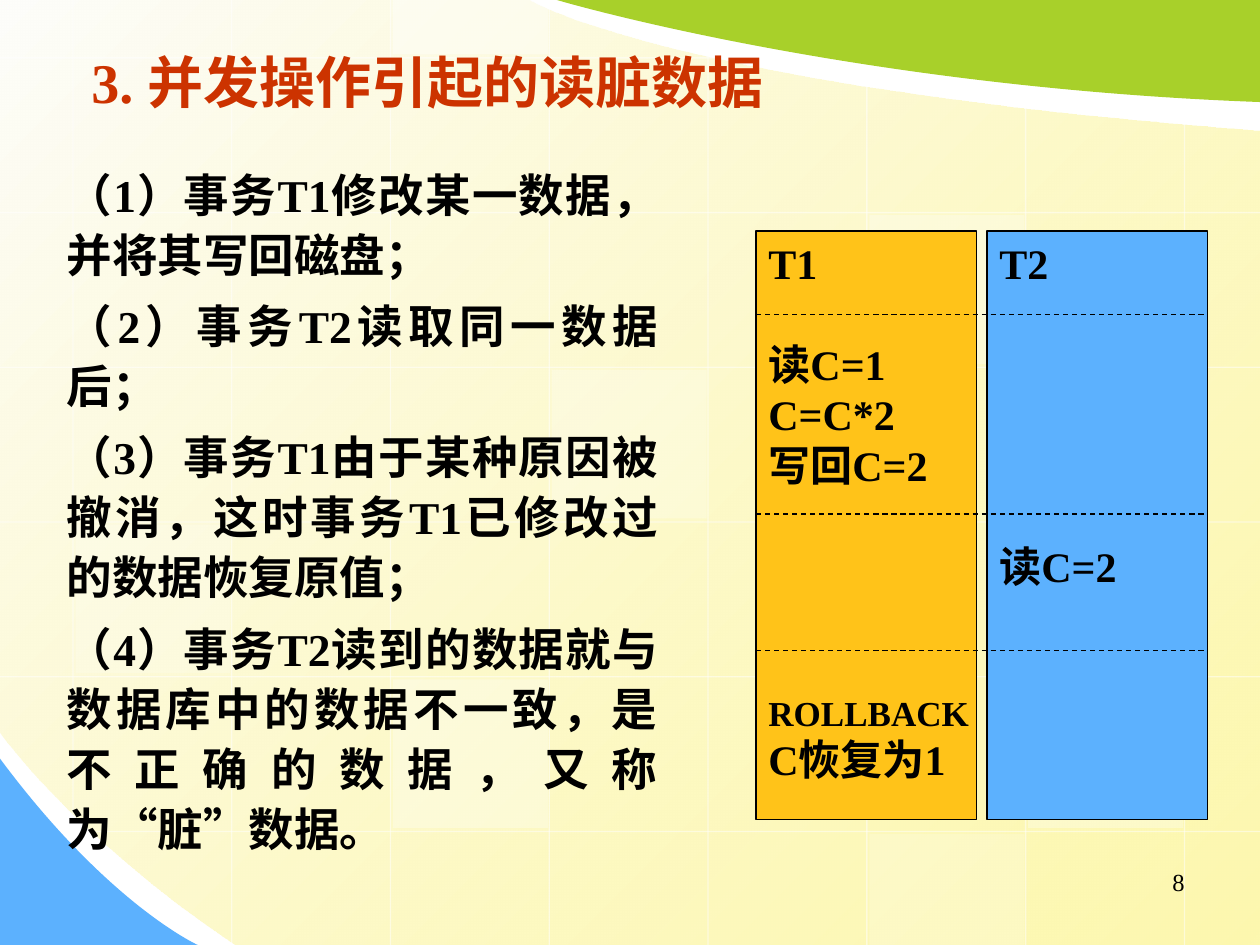
from dataclasses import dataclass
from typing import NamedTuple

from pptx import Presentation
from pptx.dml.color import RGBColor
from pptx.enum.dml import MSO_LINE
from pptx.enum.shapes import MSO_CONNECTOR, MSO_SHAPE
from pptx.enum.text import MSO_ANCHOR, PP_ALIGN
from pptx.oxml.ns import qn
from pptx.util import Inches, Pt

SLIDE_WIDTH, SLIDE_HEIGHT = Inches(10), Inches(7.5)


@dataclass(frozen=True)
class Theme:
    """Colours, type sizes and the font of the slide."""
    font: str = "Times New Roman"
    black: str = "000000"
    white: str = "FFFFFF"
    title: str = "CC3300"
    blue: str = "5CB1FE"
    green: str = "A8D02A"
    orange: str = "FFC319"
    page: tuple = ("FDF58D", "FDFDFA")
    title_size: float = 32
    body_size: float = 26
    panel_size: float = 24
    keyword_size: float = 20
    number_size: float = 14
    blank_line: float = 28.9


class Box(NamedTuple):
    """A rectangle in percent of the slide's width and height."""
    left: float
    top: float
    width: float
    height: float


class Entry(NamedTuple):
    """A line of a transaction with the empty lines above it."""
    text: str
    lines_above: int = 0
    size: float = Theme.panel_size


class Panel(NamedTuple):
    """A transaction column."""
    box: Box
    colour: str
    entries: list


class Tile(NamedTuple):
    """A lit cell of the background lattice."""
    column: int
    row: int
    opacity: int


THEME = Theme()
COLUMN_START, COLUMN_PITCH = 5.8, 12.6
ROW_START, ROW_PITCH = 6.13, 16.37
COLUMN_LINES = [(0, 86.13), (0, 100), (0, 100), (0, 100), (5.73, 100), (9.07, 100), (11.33, 100), (13.07, 100)]
ROW_LINES = [(0, 56.8), (0, 100), (0, 100), (0, 100), (0, 100), (7.6, 100)]
TILES = [Tile(3, 2, 25), Tile(6, 4, 30), Tile(0, 3, 20), Tile(5, 5, 20), Tile(2, -1, 40), Tile(2, 4, 30), Tile(5, 1, 30)]

PAGE_OUTLINE = [(100, 13.87), (100, 100), (18.7, 100), (5.4, 88, 0, 77.33, 0, 77.47),
                (0, 0), (42, 0), (42, 0.13, 53.6, 9.2, 100, 13.87)]
CORNER_OUTLINE = [(0, 80.27), (0, 100), (15.7, 100), (15.7, 100, 8.6, 95.73, 0, 80.27)]
CREST_OUTLINE = [(100, 10.8), (100, 0), (44.2, 0), (44.2, 0, 67.4, 9.2, 100, 10.8)]

TITLE_BOX = Box(6.25, 4.67, 74, 7.73)
BODY_BOX = Box(4.3, 16.4, 48.9, 76.67)
NUMBER_BOX = Box(71.7, 91.07, 23.3, 6.93)
STEPS = [
    "（1）事务T1修改某一数据，并将其写回磁盘；",
    "（2）事务T2读取同一数据后；",
    "（3）事务T1由于某种原因被撤消，这时事务T1已修改过的数据恢复原值；",
    "（4）事务T2读到的数据就与数据库中的数据不一致，是不正确的数据，又称为“脏”数据。",
]
PANELS = [
    Panel(Box(60, 24.45, 17.5, 62.27), THEME.orange, [
        Entry("T1"), Entry("读C=1", 1), Entry("C=C*2"), Entry("写回C=2"),
        Entry("ROLLBACK", 4, THEME.keyword_size), Entry("C恢复为1")]),
    Panel(Box(78.33, 24.45, 17.5, 62.27), THEME.blue, [Entry("T2"), Entry("读C=2", 5)]),
]
DIVIDERS = [33.3, 54.4, 68.87]


def across(share: float) -> int:
    """Turn a percentage of the slide's width into a length."""
    return round(SLIDE_WIDTH * share / 100)


def down(share: float) -> int:
    """Turn a percentage of the slide's height into a length."""
    return round(SLIDE_HEIGHT * share / 100)


def place(box: Box) -> tuple:
    """Turn a box into left, top, width and height."""
    return across(box.left), down(box.top), across(box.width), down(box.height)


def fade(shape, opacity: int) -> None:
    """Make the first colour of a shape partly transparent."""
    colour = next(shape.element.iter(qn("a:srgbClr")))
    colour.append(colour.makeelement(qn("a:alpha"), {"val": str(opacity * 1000)}))


def paint(shape, colour: str) -> None:
    """Give a shape a plain fill without shadow or line."""
    shape.shadow.inherit = False
    shape.fill.solid()
    shape.fill.fore_color.rgb = RGBColor.from_string(colour)
    shape.line.fill.background()


def add_outline(slide, outline: list, colour: str):
    """Draw a closed outline of points and cubic curves."""
    corners = [(across(x), down(y)) for piece in outline for x, y in zip(piece[::2], piece[1::2])]
    builder = slide.shapes.build_freeform(*corners[0])
    builder.add_line_segments(corners[1:], close=False)
    builder.add_line_segments([], close=True)
    shape = builder.convert_to_shape()
    segments = iter(list(shape.element.iter(qn("a:lnTo"))))
    for piece in outline[1:]:
        segment = next(segments)
        if len(piece) == 6:
            curve = segment.makeelement(qn("a:cubicBezTo"), {})
            segment.addprevious(curve)
            for part in (segment, next(segments), next(segments)):
                curve.append(part[0])
                part.getparent().remove(part)
    paint(shape, colour)
    return shape


def add_line(slide, start: tuple, end: tuple, colour: str):
    """Draw a thin straight line between two points."""
    line = slide.shapes.add_connector(
        MSO_CONNECTOR.STRAIGHT, across(start[0]), down(start[1]), across(end[0]), down(end[1]))
    line.line.width = Pt(0.75)
    line.line.color.rgb = RGBColor.from_string(colour)
    properties = line.element.spPr
    properties.append(properties.makeelement(qn("a:effectLst"), {}))
    return line


def style(paragraph, size: float, colour: str = THEME.black, bold: bool = True, alignment=PP_ALIGN.LEFT) -> None:
    """Set the font and alignment of a paragraph."""
    paragraph.alignment = alignment
    paragraph.font.name = THEME.font
    paragraph.font.size = Pt(size)
    paragraph.font.bold = bold
    paragraph.font.color.rgb = RGBColor.from_string(colour)


def add_background(slide) -> None:
    """Draw the page, its lattice and the coloured corners."""
    page = add_outline(slide, PAGE_OUTLINE, THEME.white)
    page.fill.gradient()
    page.fill.gradient_angle = 135
    for stop, colour in zip(page.fill.gradient_stops, THEME.page):
        stop.color.rgb = RGBColor.from_string(colour)
    fade(page, 70)
    add_outline(slide, CORNER_OUTLINE, THEME.blue)
    for index, (top, bottom) in enumerate(COLUMN_LINES):
        x = COLUMN_START + index * COLUMN_PITCH
        fade(add_line(slide, (x, top), (x, bottom), THEME.white), 50)
    for index, (left, right) in enumerate(ROW_LINES):
        y = ROW_START + index * ROW_PITCH
        fade(add_line(slide, (left, y), (right, y), THEME.white), 50)
    for tile in TILES:
        top = ROW_START + 0.27 + tile.row * ROW_PITCH
        bottom = min(top + 15.73, 100)
        top = max(top, 0)
        box = Box(COLUMN_START + 0.2 + tile.column * COLUMN_PITCH, top, 12.3, bottom - top)
        shape = slide.shapes.add_shape(MSO_SHAPE.RECTANGLE, *place(box))
        paint(shape, THEME.white)
        fade(shape, tile.opacity)
    add_outline(slide, CREST_OUTLINE, THEME.green)


def add_title(slide) -> None:
    """Fill the title placeholder and bring it in front of the page."""
    title = slide.shapes.title
    title.left, title.top, title.width, title.height = place(TITLE_BOX)
    title.text_frame.text = "3. 并发操作引起的读脏数据"
    title.text_frame.vertical_anchor = MSO_ANCHOR.MIDDLE
    style(title.text_frame.paragraphs[0], THEME.title_size, THEME.title)
    title.element.getparent().append(title.element)


def add_text(slide, box: Box, lines: list):
    """Add a wrapping text box with one paragraph per line."""
    frame = slide.shapes.add_textbox(*place(box)).text_frame
    frame.word_wrap = True
    frame.text = "\n".join(lines)
    return frame.paragraphs


def add_steps(slide) -> None:
    """Write the justified steps with punctuation kept inside the margin."""
    for index, paragraph in enumerate(add_text(slide, BODY_BOX, STEPS)):
        style(paragraph, THEME.body_size, alignment=PP_ALIGN.JUSTIFY)
        paragraph.line_spacing = 1.1
        paragraph.space_before = Pt(6.5 if index else 0)
        next(paragraph.font._element.iterancestors(qn("a:pPr"))).set("hangingPunct", "0")


def add_panel(slide, panel: Panel) -> None:
    """Draw a transaction column with its entries."""
    shape = slide.shapes.add_shape(MSO_SHAPE.RECTANGLE, *place(panel.box))
    paint(shape, panel.colour)
    shape.line.color.rgb = RGBColor.from_string(THEME.black)
    shape.line.width = Pt(0.75)
    frame = shape.text_frame
    frame.word_wrap = False
    frame.vertical_anchor = MSO_ANCHOR.TOP
    frame.text = "\n".join(entry.text for entry in panel.entries)
    for paragraph, entry in zip(frame.paragraphs, panel.entries):
        style(paragraph, entry.size)
        paragraph.space_before = Pt(entry.lines_above * THEME.blank_line)


def main() -> None:
    """Build and save the slide."""
    presentation = Presentation()
    presentation.slide_width, presentation.slide_height = SLIDE_WIDTH, SLIDE_HEIGHT
    slide = presentation.slides.add_slide(presentation.slide_layouts[5])
    add_background(slide)
    add_title(slide)
    add_steps(slide)
    for panel in PANELS:
        add_panel(slide, panel)
    for y in DIVIDERS:
        add_line(slide, (60, y), (95.8, y), THEME.black).line.dash_style = MSO_LINE.DASH
    number = add_text(slide, NUMBER_BOX, ["8"])[0]
    style(number, THEME.number_size, bold=False, alignment=PP_ALIGN.RIGHT)
    presentation.save("out.pptx")


if __name__ == "__main__":
    main()
